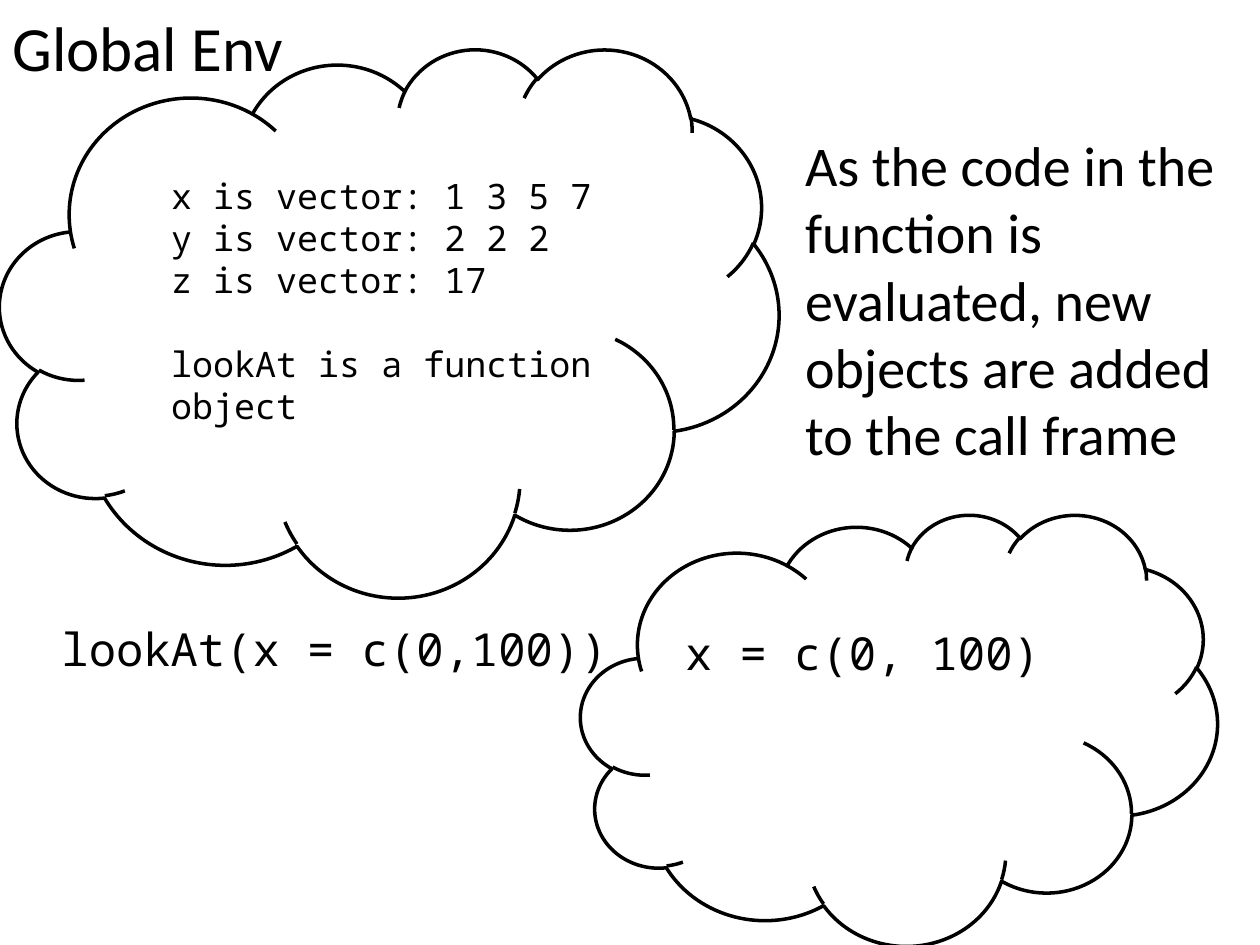
from pptx import Presentation
from pptx.dml.color import RGBColor
from pptx.enum.shapes import MSO_SHAPE
from pptx.enum.text import MSO_AUTO_SIZE
from pptx.util import Cm, Pt

CLOUD = MSO_SHAPE.CLOUD
FIT_SHAPE = MSO_AUTO_SIZE.SHAPE_TO_FIT_TEXT
BODY_FONT = "Calibri"
CODE_FONT = "Noto Sans Mono"
BLACK = "000000"


def color(hex_code):
    return RGBColor.from_string(hex_code)


def add_text(page, place, lines, font_name, size, wrap=True):
    """Add a text box with one paragraph per line and return its paragraphs."""
    box = page.shapes.add_textbox(*map(Cm, place))
    frame = box.text_frame
    frame.word_wrap = wrap
    frame.auto_size = FIT_SHAPE
    frame.text = "\n".join(lines)
    for para in frame.paragraphs:
        para.font.name = font_name
        para.font.size = Pt(size)
        para.font.color.rgb = color(BLACK)
    return frame.paragraphs


deck = Presentation()
deck.slide_width = Cm(25.4)
deck.slide_height = Cm(19.05)
page = deck.slides.add_slide(deck.slide_layouts[6])

# Clouds: the global environment and the call frame
for place in [(0, 0.97, 15.7, 11.05), (11.71, 10.36, 12.83, 8.69)]:
    cloud = page.shapes.add_shape(CLOUD, *map(Cm, place))
    cloud.shadow.inherit = False
    cloud.fill.background()
    cloud.line.color.rgb = color(BLACK)
    cloud.line.width = Pt(2)

# Title and explanation
add_text(page, (0, 0.05, 7.72, 1.8), ["Global Env"], BODY_FONT, 36)
explanation = (
    "As the code in the function is evaluated, "
    "new objects are added to the call frame"
)
add_text(page, (15.98, 2.51, 9.09, 7.09), [explanation], BODY_FONT, 32)

# Objects in the global environment, with a gap before the function
global_objects = [
    "x is vector: 1 3 5 7",
    "y is vector: 2 2 2",
    "z is vector: 17",
    "lookAt is a function",
    "object",
]
paras = add_text(page, (3.2, 3.4, 9.07, 5.38), global_objects, CODE_FONT, 20, wrap=False)
paras[3].space_before = Pt(24)

# The call and the content of its frame
add_text(page, (0.99, 12.4, 11.71, 1.37), ["lookAt(x = c(0,100))"], CODE_FONT, 26)
add_text(page, (13.56, 12.47, 8.86, 1.37), ["x = c(0, 100)"], CODE_FONT, 26)

deck.save("out.pptx")
